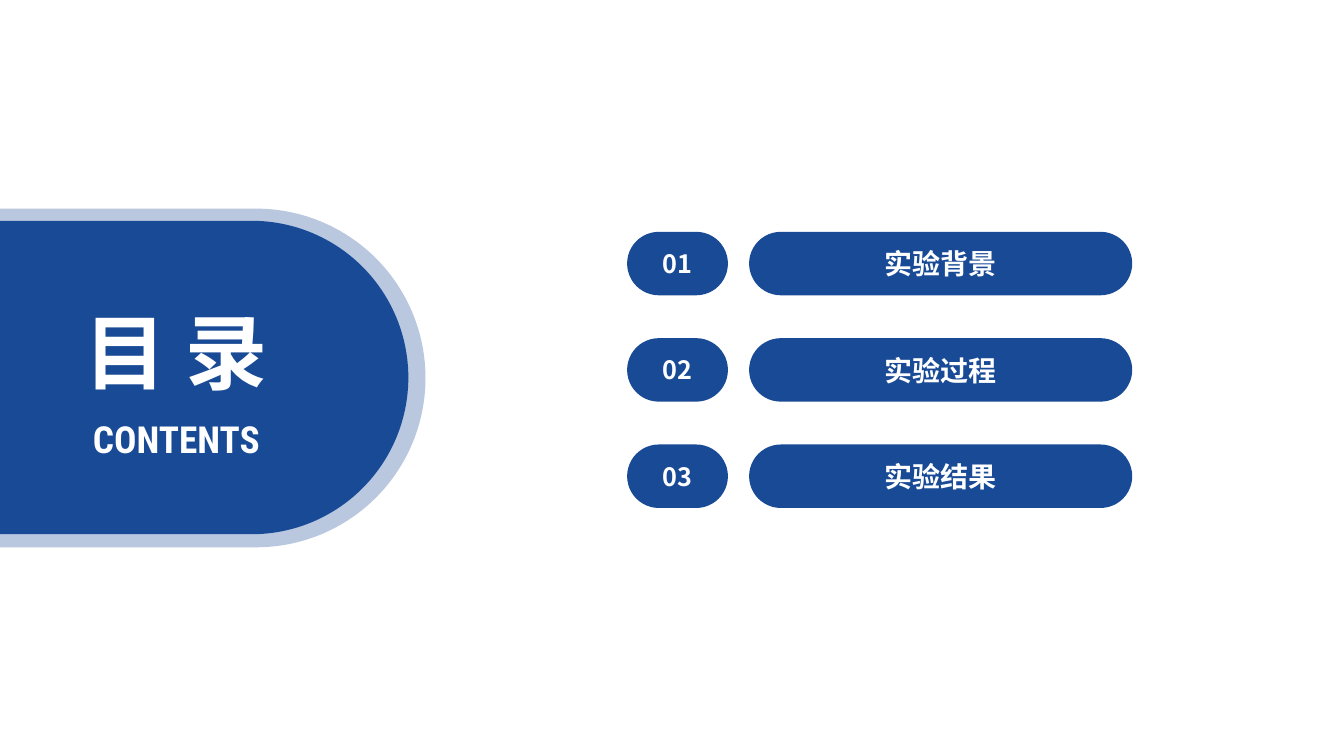
from dataclasses import dataclass

from lxml.etree import SubElement
from pptx import Presentation
from pptx.dml.color import RGBColor
from pptx.enum.shapes import MSO_SHAPE as Shape
from pptx.enum.text import MSO_ANCHOR as Anchor, MSO_AUTO_SIZE as AutoSize, PP_ALIGN as Align
from pptx.oxml.ns import qn
from pptx.util import Inches, Pt


@dataclass(frozen=True)
class Theme:
    blue: RGBColor = RGBColor(0x19, 0x4A, 0x96)
    white: RGBColor = RGBColor(0xFF, 0xFF, 0xFF)
    halo_opacity: int = 30
    chinese: str = "Noto Sans CJK SC"
    english: str = "Roboto Condensed"
    title: float = 58.6
    subtitle: float = 26.6
    number: float = 18
    topic: float = 20


THEME = Theme()
TOPICS = ["实验背景", "实验过程", "实验结果"]


def write(shape, text, size, font):
    frame = shape.text_frame
    frame.text = text
    frame.vertical_anchor = Anchor.MIDDLE
    para = frame.paragraphs[0]
    para.alignment = Align.CENTER
    para.space_before = Pt(0)
    para.font.size = Pt(size)
    para.font.bold = True
    para.font.name = font
    para.font.color.rgb = THEME.white
    defaults = para._p.find(".//" + qn("a:defRPr"))
    SubElement(defaults, qn("a:ea")).set("typeface", font)


def add_pill(page, left, top, width, height, opacity=100):
    pill = page.shapes.add_shape(
        Shape.ROUNDED_RECTANGLE, *map(Inches, (left, top, width, height)))
    pill.adjustments[0] = 0.5
    pill.shadow.inherit = False
    pill.fill.solid()
    pill.fill.fore_color.rgb = THEME.blue
    pill.line.fill.background()
    if opacity < 100:
        color = pill.fill._xPr.find(".//" + qn("a:srgbClr"))
        SubElement(color, qn("a:alpha")).set("val", str(opacity * 1000))
    return pill


def place_heading(shape, text, size, font, left, top, width, height):
    shape.left, shape.top, shape.width, shape.height = map(
        Inches, (left, top, width, height))
    write(shape, text, size, font)
    shape.text_frame.word_wrap = False
    shape.text_frame.auto_size = AutoSize.NONE
    shape.element.getparent().append(shape.element)


def build_banner(page, left, top, width, height):
    add_pill(page, left, top, width, height, THEME.halo_opacity)
    add_pill(page, left + 0.26, top + 0.12, width - 0.43, height - 0.25)
    place_heading(page.placeholders[1], "CONTENTS", THEME.subtitle, THEME.english,
                  left + 2.58, top + 2.01, 2.26, 0.55)
    place_heading(page.shapes.title, "目 录", THEME.title, THEME.chinese,
                  left + 2.66, top + 0.86, 2.09, 1.09)


def build_agenda(page, left, top, width, height):
    pill_height = 0.63
    number_width, gap = 1, 0.21
    pitch = (height - pill_height) / (len(TOPICS) - 1)
    topic_left = left + number_width + gap
    topic_width = width - number_width - gap
    for row, topic in enumerate(TOPICS):
        row_top = top + row * pitch
        number = add_pill(page, left, row_top, number_width, pill_height)
        write(number, f"{row + 1:02}", THEME.number, THEME.chinese)
        label = add_pill(page, topic_left, row_top, topic_width, pill_height)
        write(label, topic, THEME.topic, THEME.chinese)


def main():
    deck = Presentation()
    deck.slide_width, deck.slide_height = Inches(13.33), Inches(7.5)
    page = deck.slides.add_slide(deck.slide_layouts[0])
    build_banner(page, -1.96, 2.07, 6.18, 3.36)
    build_agenda(page, 6.22, 2.3, 5.01, 2.74)
    deck.save("out.pptx")


if __name__ == "__main__":
    main()
